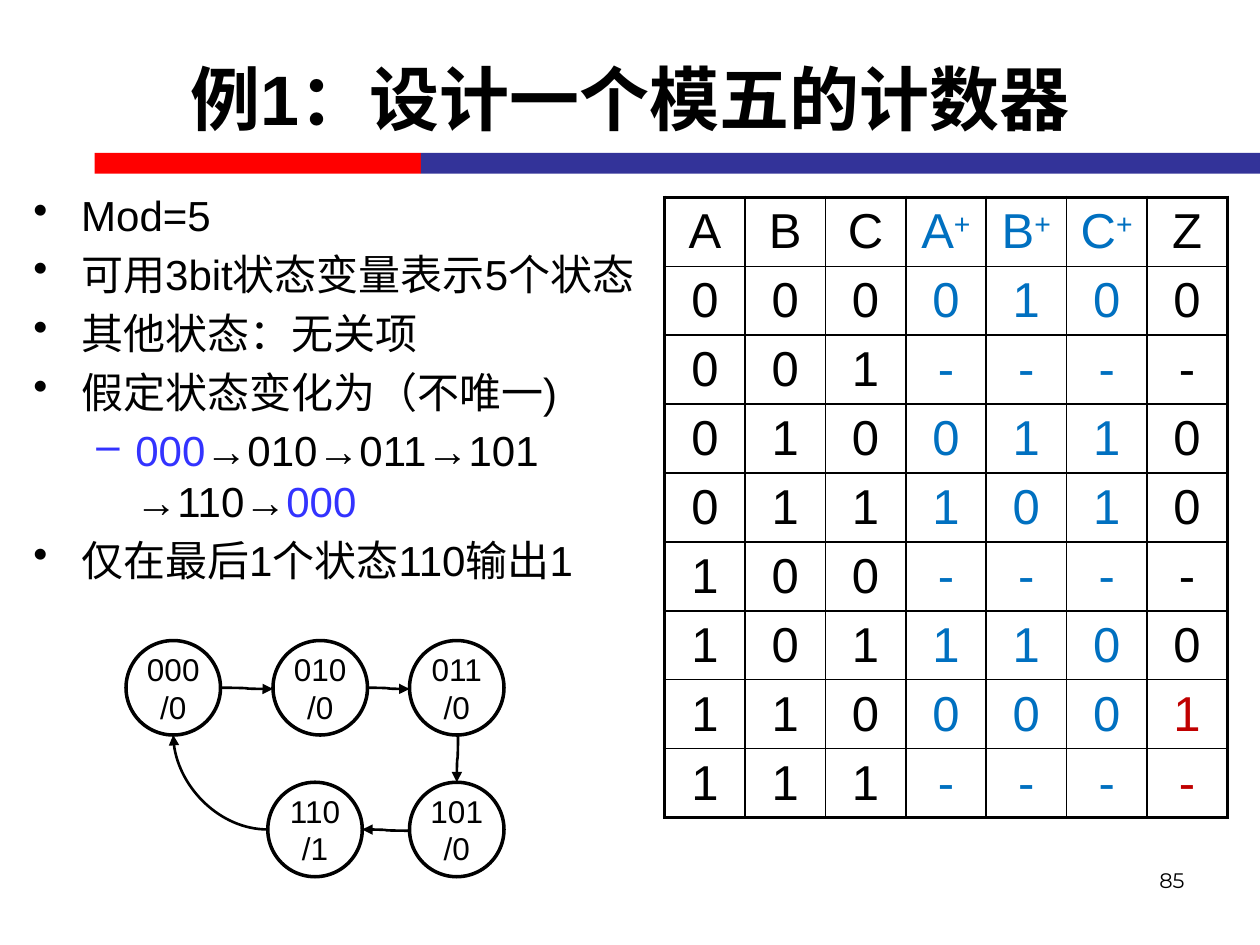
from lxml import etree
from pptx import Presentation
from pptx import util as u
from pptx.dml.color import RGBColor
from pptx.enum import shapes, text
from pptx.oxml.ns import qn

COLS, ROWS = 120, 90
C = {"black": "000000", "white": "FFFFFF", "red": "FF0000", "navy": "333399",
     "blue": "3333FF", "next": "0070C0", "output": "C00000"}

prs = Presentation()
prs.slide_width, prs.slide_height = u.Inches(10), u.Inches(7.5)
UX, UY = prs.slide_width / COLS, prs.slide_height / ROWS
s = prs.slides.add_slide(prs.slide_layouts[6])


def place(x, y, w, h):
    return int(x * UX), int(y * UY), int(w * UX), int(h * UY)


def rgb(name):
    return RGBColor.from_string(C[name])


def add_run(p, content, size, color="black", font="Arial", bold=False):
    r = p.add_run()
    r.text = content
    r.font.size, r.font.name, r.font.bold = u.Pt(size), font, bold
    r.font.color.rgb = rgb(color)
    return r


def add_lines(p, content, size, color="black"):
    for i, line in enumerate(content.split("\n")):
        if i:
            p.add_line_break()
        add_run(p, line, size, color)


def add_text_box(box):
    tf = s.shapes.add_textbox(*place(*box)).text_frame
    tf.word_wrap = True
    return tf


def add_shape(kind, box, fill):
    sp = s.shapes.add_shape(kind, *place(*box))
    sp.shadow.inherit = False
    sp.fill.solid()
    sp.fill.fore_color.rgb = rgb(fill)
    sp.line.fill.background()
    return sp


def add_rule(box):
    x, y, w, h = box
    split = w * 0.28
    add_shape(shapes.MSO_SHAPE.RECTANGLE, (x, y, split, h), "red")
    add_shape(shapes.MSO_SHAPE.RECTANGLE, (x + split, y, w - split, h), "navy")


def add_title(box, content):
    tf = add_text_box(box)
    tf.vertical_anchor = text.MSO_ANCHOR.MIDDLE
    p = tf.paragraphs[0]
    p.alignment = text.PP_ALIGN.CENTER
    add_run(p, content, 40, bold=True)


def add_page_number(box, content):
    p = add_text_box(box).paragraphs[0]
    p.alignment = text.PP_ALIGN.RIGHT
    add_run(p, content, 12, font="Montserrat")


def add_bullets(box, items):
    tf = add_text_box(box)
    tf.margin_top = u.Inches(0.09)
    for i, (level, runs) in enumerate(items):
        p = tf.paragraphs[0] if i == 0 else tf.add_paragraph()
        mark, margin, hang = (("•", 0.38, 0.38), ("–", 0.81, 0.31))[level]
        pPr = p._p.get_or_add_pPr()
        pPr.set("marL", str(u.Inches(margin)))
        pPr.set("indent", str(-u.Inches(hang)))
        etree.SubElement(pPr, qn("a:buChar"), char=mark)
        p.level = level
        if i:
            p.space_before = u.Pt(4.8)
        for content, color in runs:
            add_lines(p, content, 24, color)


def add_border(tcPr, side, width):
    ln = etree.SubElement(tcPr, qn("a:ln" + side), w=str(u.Pt(width)))
    fill = etree.SubElement(ln, qn("a:solidFill"))
    etree.SubElement(fill, qn("a:srgbClr"), val=C["black"])


def add_truth_table(box, header, rows):
    data = [header] + rows
    n, m = len(data), len(header)
    t = s.shapes.add_table(n, m, *place(*box)).table
    for j in range(m):
        t.columns[j].width = int(box[2] * UX / m)
    for i, row in enumerate(data):
        t.rows[i].height = int(box[3] * UY / n)
        for j, value in enumerate(row):
            cell = t.cell(i, j)
            tcPr = cell._tc.get_or_add_tcPr()
            edges = {"L": j == 0, "R": j == m - 1, "T": i == 0, "B": i == n - 1}
            for side, outer in edges.items():
                add_border(tcPr, side, 2.25 if outer else 1)
            cell.fill.solid()
            cell.fill.fore_color.rgb = rgb("white")
            cell.margin_top = cell.margin_bottom = u.Inches(0.04)
            cell.vertical_anchor = text.MSO_ANCHOR.MIDDLE
            p = cell.text_frame.paragraphs[0]
            p.alignment = text.PP_ALIGN.CENTER
            late_output = j == m - 1 and i >= n - 2
            color = "next" if 3 <= j <= 5 else "output" if late_output else "black"
            add_run(p, value[0], 28, color)
            if value[1:]:
                r = add_run(p, value[1:], 28, color)
                r.font._element.set("baseline", "30000")


def add_state(box, label):
    sp = add_shape(shapes.MSO_SHAPE.OVAL, box, "white")
    sp.line.color.rgb, sp.line.width = rgb("black"), u.Pt(2)
    tf = sp.text_frame
    tf.margin_left = tf.margin_right = tf.margin_top = tf.margin_bottom = 0
    tf.vertical_anchor = text.MSO_ANCHOR.MIDDLE
    tf.word_wrap = True
    p = tf.paragraphs[0]
    p.alignment = text.PP_ALIGN.CENTER
    add_lines(p, label, 18)


def add_arrow(x1, y1, x2, y2, preset="curvedConnector3", upright=False):
    if upright:
        cx, cy, dx, dy = (x1 + x2) / 2, (y1 + y2) / 2, (y2 - y1) / 2, (x1 - x2) / 2
        x1, y1, x2, y2 = cx - dx, cy - dy, cx + dx, cy + dy
    c = s.shapes.add_connector(shapes.MSO_CONNECTOR.CURVE, *place(x1, y1, x2, y2))
    c.line.color.rgb, c.line.width = rgb("black"), u.Pt(1.5)
    spPr = c.element.spPr
    spPr.find(qn("a:prstGeom")).set("prst", preset)
    if upright:
        spPr.find(qn("a:xfrm")).set("rot", "5400000")
    etree.SubElement(spPr.find(qn("a:ln")), qn("a:tailEnd"), type="triangle")
    etree.SubElement(spPr, qn("a:effectLst"))


def add_state_diagram(box):
    x, y, w, h = box
    d, nudge = 9, 0.12
    mid, right, low = x + 14, x + w - d, y + h - d
    states = [(x, y, "000\n/0"), (mid, y, "010\n/0"), (right, y, "011\n/0"),
              (right, low, "101\n/0"), (mid - 0.5, low, "110\n/1")]
    for left, top, label in states:
        add_state((left, top, d, d), label)
    for (x1, y1, _), (x2, y2, _) in zip(states, states[1:]):
        if x1 == x2:
            add_arrow(x1 + d / 2 + nudge, y1 + d, x2 + d / 2, y2, upright=True)
        elif x1 < x2:
            add_arrow(x1 + d, y1 + d / 2, x2, y2 + d / 2 + nudge)
        else:
            add_arrow(x1, y1 + d / 2 + nudge, x2 + d, y2 + d / 2)
    add_arrow(mid - 0.5, low + d / 2, x + d / 2, y + d, "curvedConnector2")


add_rule((9, 14.55, 111, 2))
add_page_number((86, 82, 28, 6.25), "85")
add_bullets((2, 17, 61.2, 69), [
    (0, [("Mod=5", "black")]),
    (0, [("可用3bit状态变量表示5个状态", "black")]),
    (0, [("其他状态：无关项", "black")]),
    (0, [("假定状态变化为（不唯一)", "black")]),
    (1, [("000", "blue"), ("→010→011→101\n→110→", "black"), ("000", "blue")]),
    (0, [("仅在最后1个状态110输出1", "black")]),
])
add_truth_table((63.3, 18.8, 53.6, 58.2), ["A", "B", "C", "A+", "B+", "C+", "Z"],
                ["0000100", "001----", "0100110", "0111010",
                 "100----", "1011100", "1100001", "111----"])
add_title((6, 1.8, 108, 15), "例1：设计一个模五的计数器")
add_state_diagram((12, 61, 36, 22.5))
prs.save("out.pptx")
